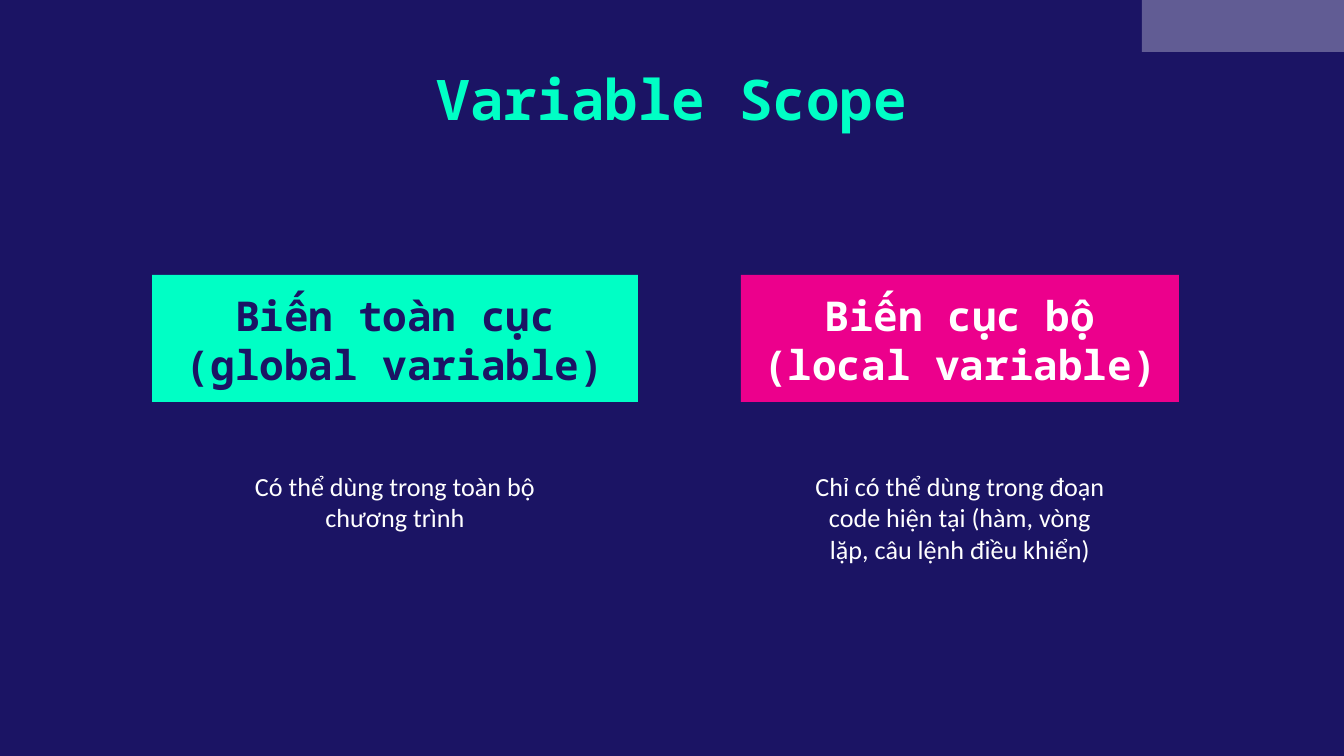
from lxml.etree import SubElement as Sub
from pptx import Presentation
from pptx.dml.color import RGBColor
from pptx.enum.shapes import MSO_SHAPE as Kind
from pptx.enum.text import MSO_ANCHOR as Anchor, PP_ALIGN as Align
from pptx.oxml.ns import qn
from pptx.util import Inches, Pt

SCALE = Inches(1) / 134.4
NAVY, MINT, PINK, WHITE = "1B1464", "00FFC5", "EC008C", "FFFFFF"
MONO, SANS = "Noto Sans Mono", "Calibri"


def px(n):
    return round(n * SCALE)


def paint(fill, color):
    fill.solid()
    fill.fore_color.rgb = RGBColor.from_string(color)


class Deck:
    """Holds the style and the current slide, and draws each kind of element."""

    def __init__(self, width, height, back):
        self.show = Presentation()
        self.show.slide_width, self.show.slide_height = px(width), px(height)
        self.slide = self.show.slides.add_slide(self.show.slide_layouts[6])
        paint(self.slide.background.fill, back)

    def rect(self, left, top, width, height, color, alpha=None):
        shape = self.slide.shapes.add_shape(
            Kind.RECTANGLE, px(left), px(top), px(width), px(height))
        shape.shadow.inherit = False
        shape.line.fill.background()
        paint(shape.fill, color)
        if alpha is not None:
            tone = shape.element.spPr.find(qn("a:solidFill"))[0]
            Sub(tone, qn("a:alpha"), val=str(alpha * 1000))
        return shape

    def style(self, shape, text, size, color, font, anchor):
        frame = shape.text_frame
        frame.text = text
        frame.word_wrap = True
        frame.vertical_anchor = anchor
        frame.margin_left = frame.margin_right = Inches(0.1)
        frame.margin_top = frame.margin_bottom = Inches(0.1)
        for para in frame.paragraphs:
            para.alignment = Align.CENTER
            for run in para.runs:
                run.font.name, run.font.size = font, Pt(size)
                run.font.bold = font == MONO
                paint(run.font.fill, color)

    def text(self, left, top, width, height, text, size, color, font):
        box = self.slide.shapes.add_textbox(
            px(left), px(top), px(width), px(height))
        self.style(box, text, size, color, font, Anchor.TOP)

    def label(self, left, top, width, height, text, size, color, fill):
        shape = self.rect(left, top, width, height, fill)
        self.style(shape, text, size, color, MONO, Anchor.BOTTOM)


def main():
    deck = Deck(1344, 756, NAVY)
    deck.rect(1142, 0, 202, 52, WHITE, 31)
    deck.text(188, 51, 968, 98, "Variable Scope", 30, MINT, MONO)
    scopes = [
        (395, 486, "Biến toàn cục (global variable)", NAVY, MINT,
         "Có thể dùng trong toàn bộ chương trình"),
        (960, 438, "Biến cục bộ (local variable)", WHITE, PINK,
         "Chỉ có thể dùng trong đoạn code hiện tại (hàm, vòng lặp, câu lệnh điều khiển)"),
    ]
    for mid, width, name, color, fill, note in scopes:
        deck.label(mid - width // 2, 275, width, 127, name, 22, color, fill)
        deck.text(mid - 164, 457, 328, 124, note, 14, WHITE, SANS)
    deck.show.save("out.pptx")


if __name__ == "__main__":
    main()
